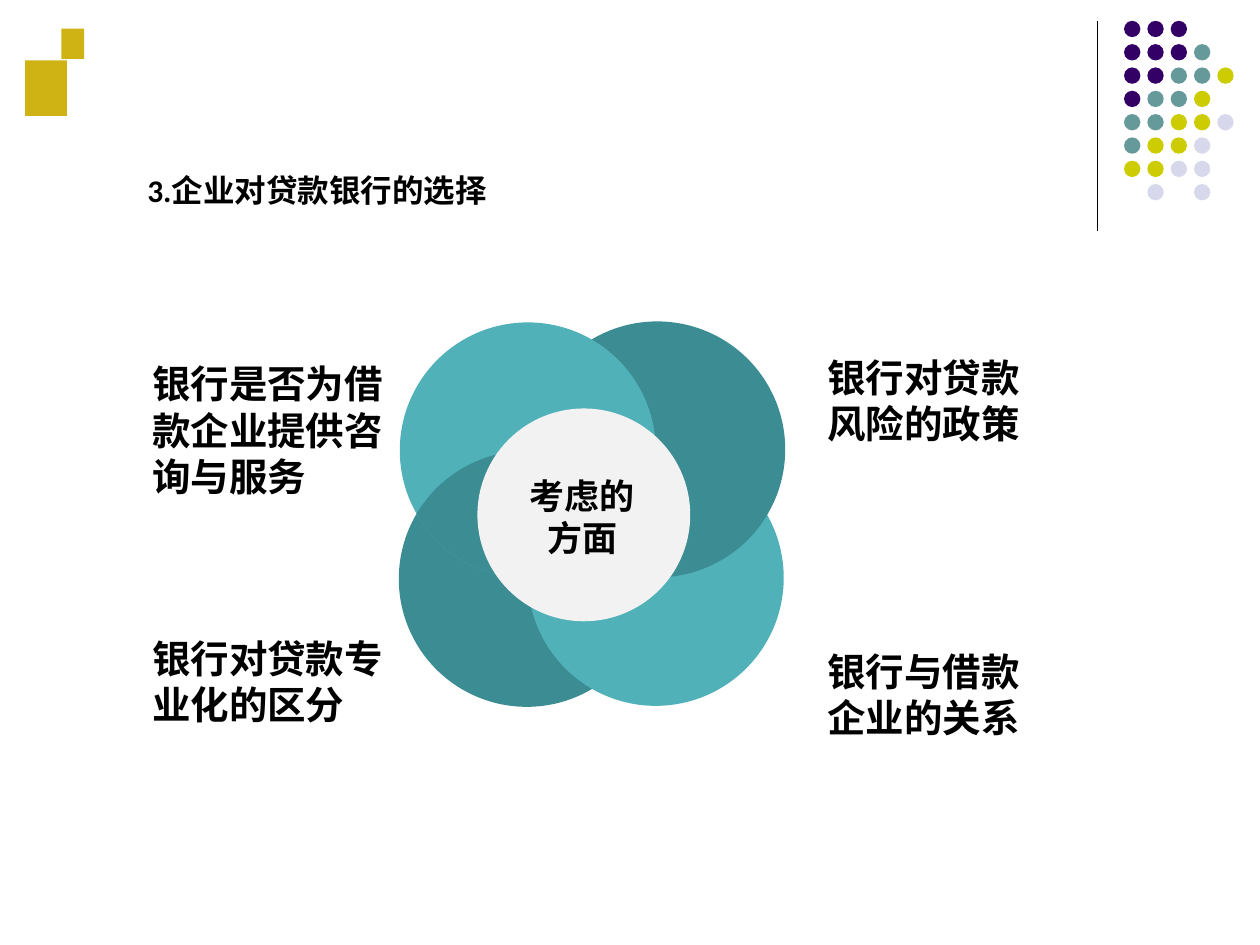
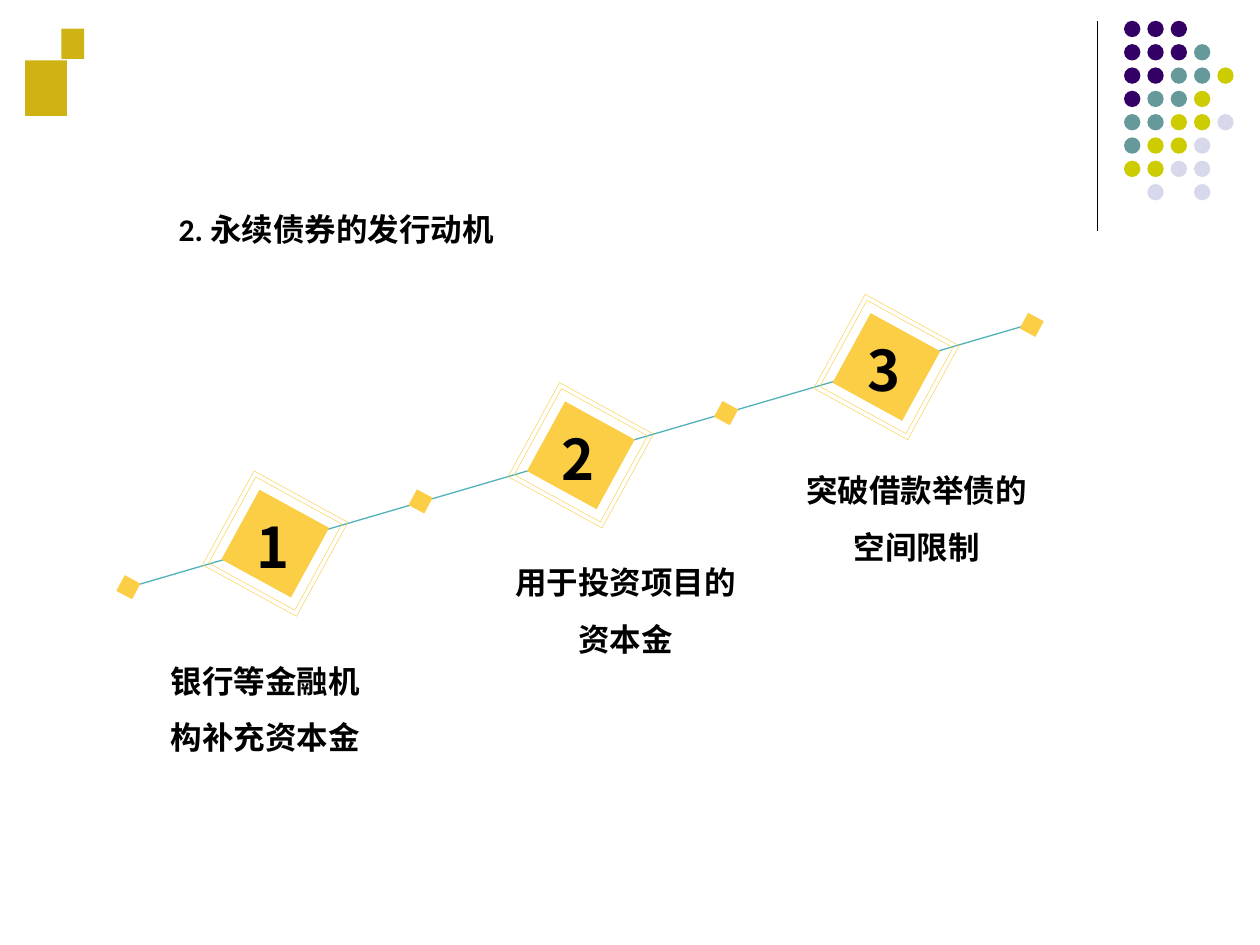
import math
from typing import NamedTuple

from lxml import etree
from pptx import Presentation
from pptx import util as u
from pptx.dml.color import RGBColor
from pptx.enum import shapes, text
from pptx.oxml.ns import qn

BLACK, GOLD, AMBER = "000000", "CFB314", "FBCE45"
TEAL, DARK_TEAL, PALE = "50B1B8", "3C8C93", "F2F2F2"
DOT_COLOURS = {"P": "330066", "T": "669999", "Y": "CCCC00", "L": "D8D8EC"}
DOT_ROWS = ["PPP", "PPPT", "PPTTY", "PTTY", "TTYYL", "TYYL", "YYLL", " L L"]
DOT_SIZE, DOT_PITCH = 0.33, 0.47
CJK = "Noto Sans CJK SC"
RECT = shapes.MSO_SHAPE.RECTANGLE
OVAL = shapes.MSO_SHAPE.OVAL
CENTER = text.PP_ALIGN.CENTER


class Box(NamedTuple):
    x: float
    y: float
    w: float
    h: float


class Label(NamedTuple):
    words: str
    box: Box


class Point(NamedTuple):
    x: float
    y: float


RADIUS = 2.58
TOP_LEFT, TOP_RIGHT = Point(10.64, 9.08), Point(13.25, 9.06)
BOTTOM_LEFT, BOTTOM_RIGHT = Point(10.62, 11.67), Point(13.22, 11.65)
HUB = Point(11.77, 10.38)
PETALS = [(BOTTOM_LEFT, DARK_TEAL), (BOTTOM_RIGHT, TEAL),
          (TOP_RIGHT, DARK_TEAL), (TOP_LEFT, TEAL)]
ASPECTS = [
    Label("银行是否为借款企业提供咨询与服务", Box(2.82, 7.14, 5.28, 3.05)),
    Label("银行对贷款专业化的区分", Box(2.82, 12.67, 5.28, 2.13)),
    Label("银行对贷款风险的政策", Box(16.43, 7.01, 4.75, 2.13)),
    Label("银行与借款企业的关系", Box(16.43, 12.93, 4.75, 2.13)),
]

FIRST_STOP, STOP_STEP = Point(5.55, 10.96), Point(6.16, -1.78)
MOTIVES = [
    Label("银行等金融机构补充资本金", Box(3.1, 12.83, 4.5, 3.07)),
    Label("用于投资项目的资本金", Box(9.98, 10.85, 5.26, 1.57)),
    Label("突破借款举债的空间限制", Box(15.98, 8.99, 5, 1.7)),
]


def rgb(colour: str) -> RGBColor:
    return RGBColor.from_string(colour)


def around(c: Point, w: float, h: float) -> Box:
    return Box(c.x - w / 2, c.y - h / 2, w, h)


def cm(box: Box) -> list[int]:
    return [u.Cm(v) for v in box]


def paint(sp, fill: str | None, line: str | None = None):
    sp.shadow.inherit = False
    if fill:
        sp.fill.solid()
        sp.fill.fore_color.rgb = rgb(fill)
    else:
        sp.fill.background()
    if line:
        sp.line.color.rgb = rgb(line)
        sp.line.width = u.Pt(0.25)
    else:
        sp.line.fill.background()
    return sp


def add_shape(s, kind, box: Box, fill: str | None, line: str | None = None,
              turn: float = 0):
    sp = paint(s.shapes.add_shape(kind, *cm(box)), fill, line)
    sp.rotation = turn
    return sp


def add_line(s, start: Point, end: Point, colour: str):
    cx = s.shapes.add_connector(shapes.MSO_CONNECTOR.STRAIGHT,
                                *[u.Cm(v) for v in (*start, *end)])
    cx.line.color.rgb = rgb(colour)
    cx.line.width = u.Pt(0.75)
    etree.SubElement(cx.element.spPr, qn("a:effectLst"))
    return cx


def write(sp, words: str, size: float, font: str = CJK, align=None,
          spacing=None, wrap: bool = True) -> None:
    tf = sp.text_frame
    tf.word_wrap = wrap
    tf.auto_size = text.MSO_AUTO_SIZE.NONE
    tf.vertical_anchor = text.MSO_ANCHOR.TOP
    p = tf.paragraphs[0]
    p.alignment = align
    if spacing:
        p.line_spacing = spacing
    r = p.add_run()
    r.text = words
    r.font.name, r.font.size, r.font.bold = font, u.Pt(size), True
    r.font.color.rgb = rgb(BLACK)
    ea = etree.SubElement(r.font._element, qn("a:ea"))
    ea.set("typeface", CJK)


def add_text(s, label: Label, size: float, **fmt) -> None:
    write(s.shapes.add_textbox(*cm(label.box)), label.words, size, **fmt)


def set_title(s, words: str, box: Box) -> None:
    sp = s.shapes.title
    sp.left, sp.top, sp.width, sp.height = cm(box)
    write(sp, words, 18, font="Calibri", align=CENTER,
          spacing=u.Pt(15.7), wrap=False)


def decorate_layout(s) -> None:
    parts = [add_line(s, Point(22.12, 0.43), Point(22.12, 4.65), BLACK)]
    for row, codes in enumerate(DOT_ROWS):
        for col, code in enumerate(codes):
            if code in DOT_COLOURS:
                box = Box(22.66 + col * DOT_PITCH, 0.42 + row * DOT_PITCH,
                          DOT_SIZE, DOT_SIZE)
                parts.append(add_shape(s, OVAL, box, DOT_COLOURS[code]))
    for box in (Box(0.51, 1.22, 0.84, 1.12), Box(1.24, 0.58, 0.46, 0.61)):
        parts.append(add_shape(s, RECT, box, GOLD))
    tree = s.slide_layout.shapes.element
    for number, sp in enumerate(parts, 100):
        sp.element.xpath(".//p:cNvPr")[0].set("id", str(number))
        tree.append(sp.element)


def add_lens(s, a: Point, b: Point, fill: str) -> None:
    axis = math.atan2(b.y - a.y, b.x - a.x)
    half = math.acos(math.dist(a, b) / 2 / RADIUS)
    steps = 40
    pts = [(u.Cm(c.x + RADIUS * math.cos(t)), u.Cm(c.y + RADIUS * math.sin(t)))
           for c, mid in ((a, axis), (b, axis + math.pi))
           for t in (mid - half + 2 * half * i / steps
                     for i in range(steps + 1))]
    fb = s.shapes.build_freeform(*pts[0])
    fb.add_line_segments(pts[1:], close=True)
    paint(fb.convert_to_shape(), fill)


def build_bank_choice(s) -> None:
    set_title(s, "3.企业对贷款银行的选择", Box(2.62, 3.53, 7.54, 0.81))
    for centre, fill in PETALS:
        add_shape(s, OVAL, around(centre, 2 * RADIUS, 2 * RADIUS), fill)
    add_lens(s, TOP_LEFT, BOTTOM_LEFT, DARK_TEAL)
    add_shape(s, OVAL, around(HUB, 4.29, 4.29), PALE)
    add_text(s, Label("考虑的方面", Box(10.24, 9.45, 3, 1.96)), 20, align=CENTER)
    for aspect in ASPECTS:
        add_text(s, aspect, 22)


def add_square(s, centre: Point, size: float, turn: float,
               fill: str | None = AMBER, line: str | None = None) -> None:
    add_shape(s, RECT, around(centre, size, size), fill, line, turn)


def build_bond_motives(s) -> None:
    set_title(s, "2. 永续债券的发行动机", Box(3.23, 4.32, 7.09, 0.81))
    add_line(s, Point(2.77, 11.79), Point(20.78, 6.53), TEAL)
    add_square(s, Point(2.59, 11.84), 0.36, 28.2)
    for i, motive in enumerate(MOTIVES):
        c = Point(FIRST_STOP.x + i * STOP_STEP.x, FIRST_STOP.y + i * STOP_STEP.y)
        add_square(s, Point(c.x + 2.93, c.y - 0.85), 0.36, 28.2)
        add_square(s, c, 1.6, 28.7)
        for size in (2.16, 1.98):
            add_square(s, c, size, 28.7, None, AMBER)
        digit = around(Point(c.x - 0.05, c.y + 0.06), 1.14, 1.63)
        add_text(s, Label(str(i + 1), digit), 32, align=CENTER, wrap=False)
        add_text(s, motive, 18, align=CENTER, spacing=1.5)


def main() -> None:
    prs = Presentation()
    prs.slide_width, prs.slide_height = u.Cm(25.4), u.Cm(19.05)
    layout = prs.slide_layouts[5]
    first, second = [prs.slides.add_slide(layout) for _ in range(2)]
    decorate_layout(first)
    build_bank_choice(first)
    build_bond_motives(second)
    prs.save("out.pptx")


if __name__ == "__main__":
    main()
